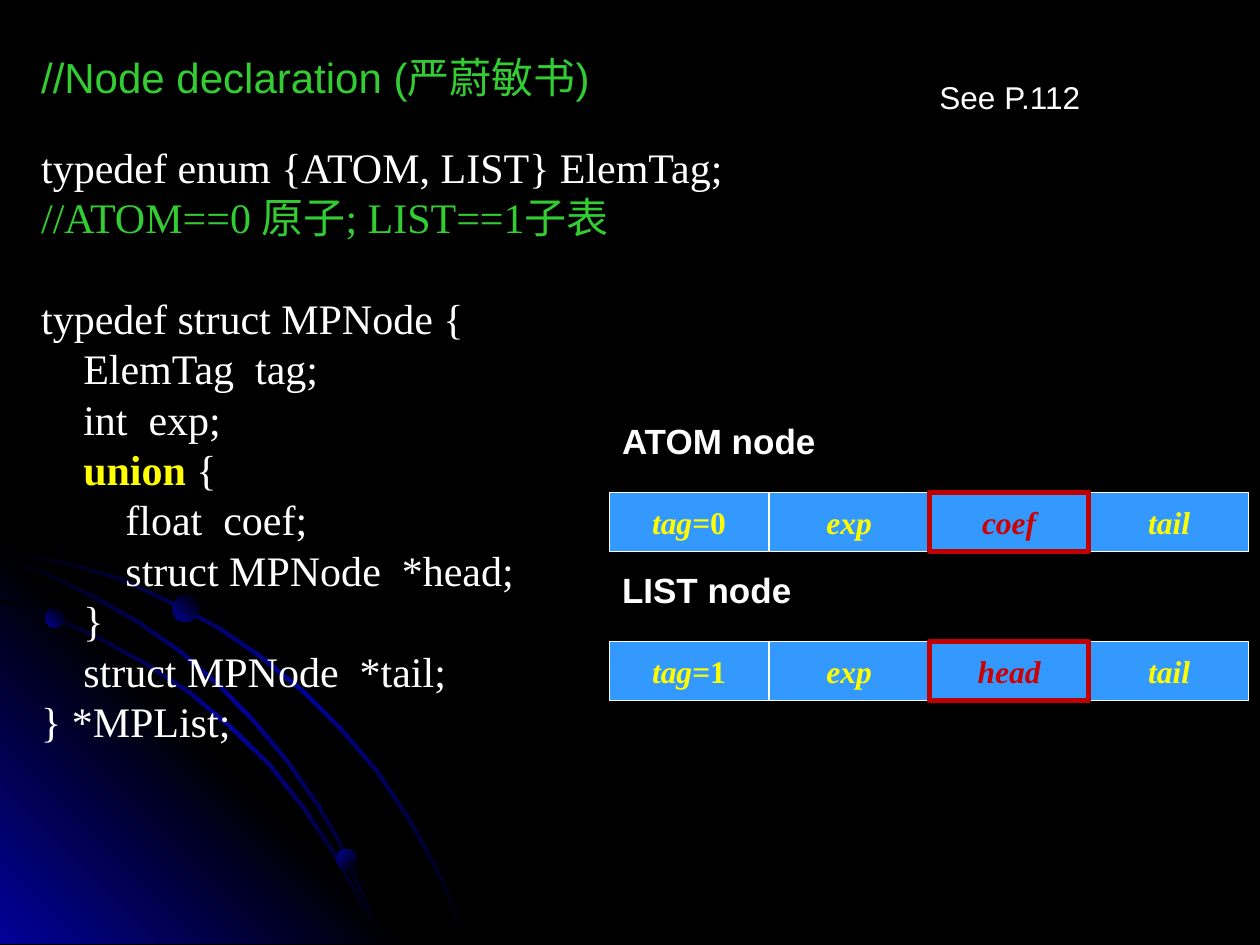
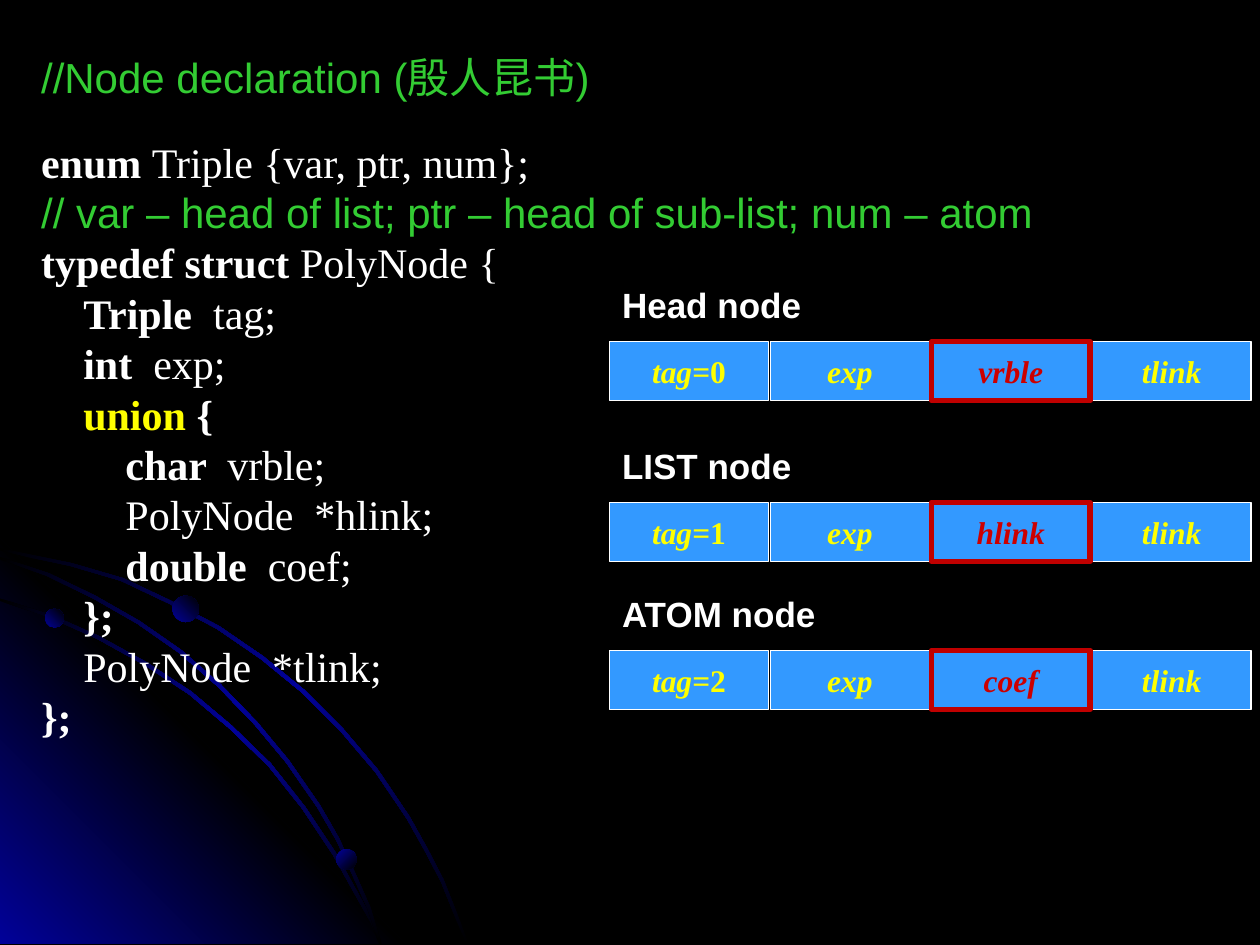
from copy import deepcopy

from pptx import Presentation, util as u
from pptx.dml.color import RGBColor
from pptx.enum import shapes, text
from pptx.oxml.ns import qn

COLOURS = {
    "black": "000000",
    "glow": "010199",
    "white": "FFFFFF",
    "comment": "33CC33",
    "keyword": "FFFF00",
    "cell": "3399FF",
    "union text": "CC0000",
    "union line": "C00000",
}
SANS, SERIF = "Arial", "Times New Roman"
INDENT = u.Cm(0.85)
CELL_W, CELL_H = 3.2, 1.19
LEFT, ROW_LEFT = 0.58, 12.29

# Upper edges of the arcs, in hundredths of an inch
ARCS = [
    [(0, 435), (28, 441), (57, 447), (98, 459), (136, 477), (174, 497), (209, 521),
     (242, 548), (272, 578), (300, 611), (325, 648), (339, 673), (352, 698),
     (362, 723), (372, 749)],
    [(0, 475), (41, 488), (79, 505), (117, 526), (152, 549), (184, 576), (215, 606),
     (242, 640), (266, 676), (286, 712), (296, 730), (303, 749)],
    [(0, 442), (39, 455), (76, 473), (111, 493), (144, 516), (175, 543), (204, 573),
     (229, 603), (254, 639), (269, 665), (282, 693), (294, 720), (303, 749)],
]
CORNER = [(322, 749), (0, 749), (0, 427)]
# Left, top, diameter in cm, then the clockwise gradient angle
DOTS = [(0.91, 12.27, 0.38, 315), (6.78, 17.12, 0.41, 45), (3.48, 12.01, 0.53, 315)]

# Each line of code: indent level, then spans of (text, style)
PLAIN, BOLD, NOTE, KEY = "plain", "bold", "note", "key"
STYLES = {
    PLAIN: ("white", False),
    BOLD: ("white", True),
    NOTE: ("comment", False),
    KEY: ("keyword", True),
}
MP_NODE_CODE = [
    (0, ("typedef enum {ATOM, LIST} ElemTag;", PLAIN)),
    (0, ("//ATOM==0 原子; LIST==1子表", NOTE)),
    (0, ("typedef struct MPNode {", PLAIN)),
    (1, ("ElemTag  tag;", PLAIN)),
    (1, ("int  exp;", PLAIN)),
    (1, ("union", KEY), (" {", PLAIN)),
    (2, ("float  coef;", PLAIN)),
    (2, ("struct MPNode  *head;", PLAIN)),
    (1, ("}", PLAIN)),
    (1, ("struct MPNode  *tail;", PLAIN)),
    (0, ("} *MPList;", PLAIN)),
]
POLY_NODE_CODE = [
    (0, ("enum ", BOLD), ("Triple {var, ptr, num};", PLAIN)),
    (0, ("// var – head of list; ptr – head of sub-list; num – atom", NOTE)),
    (0, ("typedef struct ", BOLD), ("PolyNode {", PLAIN)),
    (1, ("Triple", BOLD), ("  tag;", PLAIN)),
    (1, ("int  ", BOLD), ("exp;", PLAIN)),
    (1, ("union ", KEY), ("{", BOLD)),
    (2, ("char  ", BOLD), ("vrble;", PLAIN)),
    (2, ("PolyNode  *hlink;", PLAIN)),
    (2, ("double  ", BOLD), ("coef;", PLAIN)),
    (1, ("};", BOLD)),
    (1, ("PolyNode  *tlink;", PLAIN)),
    (0, ("};", BOLD)),
]


def colour(name):
    return RGBColor.from_string(COLOURS[name])


def set_gradient(shape, names, angle):
    """Fill with evenly spaced colours along a clockwise angle."""
    shape.shadow.inherit = False
    shape.line.fill.background()
    shape.fill.gradient()
    shape.fill.gradient_angle = 360 - angle
    stop_list = shape.element.find(".//" + qn("a:gsLst"))
    while len(stop_list) < len(names):
        stop_list.append(deepcopy(stop_list[0]))
    for i, (stop, name) in enumerate(zip(shape.fill.gradient_stops, names)):
        stop.color.rgb = colour(name)
        stop.position = i / (len(names) - 1)


def add_outline(group, points, names, angle):
    builder = group.shapes.build_freeform(*points[0], scale=u.Cm(2.54) / 100)
    builder.add_line_segments(points[1:], close=True)
    set_gradient(builder.convert_to_shape(), names, angle)


def add_orbits(page, layout):
    """Draw the corner glow and orbits once and hand them to the layout."""
    group = page.shapes.add_group_shape()
    add_outline(group, CORNER, ("glow", "black", "glow"), 315)
    for arc in ARCS:
        lower_edge = [(max(x - 2, 0), min(y + 2, 749)) for x, y in reversed(arc)]
        add_outline(group, arc + lower_edge, ("black", "glow", "black"), 45)
    for left, top, size, angle in DOTS:
        dot = group.shapes.add_shape(
            shapes.MSO_SHAPE.OVAL, u.Cm(left), u.Cm(top), u.Cm(size), u.Cm(size))
        set_gradient(dot, ("glow", "black"), angle)
    layout.shapes.element.append(group.element)


def style_paragraph(para, font, size, name="white", bold=False):
    para.line_spacing = u.Pt(size * 1.2)
    para.font.name = font
    para.font.size = u.Pt(size)
    para.font.color.rgb = colour(name)
    para.font.bold = bold


def add_frame(page, box):
    frame = page.shapes.add_textbox(*map(u.Cm, box)).text_frame
    frame.word_wrap = True
    return frame


def add_line_of_text(page, box, words, size, name="white", bold=False):
    para = add_frame(page, box).paragraphs[0]
    para.text = words
    style_paragraph(para, SANS, size, name, bold)


def add_code(page, box, lines, gap_before=None):
    """Write code lines, leaving one line free above line gap_before."""
    frame = add_frame(page, box)
    for i, (level, *spans) in enumerate(lines):
        para = frame.add_paragraph() if i else frame.paragraphs[0]
        style_paragraph(para, SERIF, 24)
        para._p.get_or_add_pPr().set("marL", str(level * INDENT))
        if i == gap_before:
            para.space_before = para.line_spacing
        for words, style in spans:
            span = para.add_run()
            span.text = words
            name, span.font.bold = STYLES[style]
            span.font.color.rgb = colour(name)
            if words.startswith("// "):
                span.font.name = SANS


def add_cell(page, left, top, words, in_union):
    cell = page.shapes.add_shape(
        shapes.MSO_SHAPE.RECTANGLE, u.Cm(left), u.Cm(top), u.Cm(CELL_W), u.Cm(CELL_H))
    cell.shadow.inherit = False
    cell.fill.solid()
    cell.fill.fore_color.rgb = colour("cell")
    cell.line.color.rgb = colour("union line" if in_union else "white")
    cell.line.width = u.Pt(3 if in_union else 0.75)
    frame = cell.text_frame
    frame.vertical_anchor = text.MSO_ANCHOR.MIDDLE
    frame.word_wrap = True
    para = frame.paragraphs[0]
    para.alignment = text.PP_ALIGN.CENTER
    style_paragraph(para, SERIF, 18, "union text" if in_union else "keyword", True)
    field, equals, number = words.partition("=")
    for part, italic in ((field + equals, True), (number, False)):
        if part:
            span = para.add_run()
            span.text = part
            span.font.italic = italic
            span.font.color.rgb = para.font.color.rgb


def add_node(page, box, label, fields):
    """Label at the top of the box, a row of fields along its bottom."""
    left, top, width, height = box
    add_line_of_text(page, (left, top, width, 1.11), label, 20, bold=True)
    pitch = (width - CELL_W) / (len(fields) - 1)
    for i in (0, 1, 3, 2):  # the union field lies over its neighbours
        add_cell(page, left + i * pitch, top + height - CELL_H, fields[i], i == 2)


def add_title(page, book):
    add_line_of_text(page, (LEFT, 0.91, 15.01, 1.27),
                     f"//Node declaration ({book})", 24, "comment")


def build_mp_node_page(page):
    add_code(page, (LEFT, 2.72, 23.6, 12.57), MP_NODE_CODE, gap_before=2)
    add_line_of_text(page, (18.69, 1.45, 3.48, 1.02), "See P.112", 18)
    add_title(page, "严蔚敏书")
    for top, label, tag, member in ((8.33, "ATOM node", 0, "coef"),
                                    (11.33, "LIST node", 1, "head")):
        add_node(page, (ROW_LEFT, top, 12.88, 2.79), label,
                 (f"tag={tag}", "exp", member, "tail"))


def build_poly_node_page(page):
    add_code(page, (LEFT, 2.62, 24.13, 12.57), POLY_NODE_CODE)
    add_title(page, "殷人昆书")
    for top, label, tag, member in ((5.59, "Head node", 0, "vrble"),
                                    (8.83, "LIST node", 1, "hlink"),
                                    (11.81, "ATOM node", 2, "coef")):
        add_node(page, (ROW_LEFT, top, 12.93, 2.49), label,
                 (f"tag={tag}", "exp", member, "tlink"))


def main():
    deck = Presentation()
    deck.slide_width, deck.slide_height = u.Cm(25.4), u.Cm(19.05)
    layout = deck.slide_layouts[6]
    for holder in list(layout.placeholders):
        holder.element.getparent().remove(holder.element)
    backdrop = deck.slide_master.background.fill
    backdrop.solid()
    backdrop.fore_color.rgb = colour("black")

    first, second = (deck.slides.add_slide(layout) for _ in range(2))
    add_orbits(first, layout)
    build_mp_node_page(first)
    build_poly_node_page(second)
    deck.save("out.pptx")


if __name__ == "__main__":
    main()
